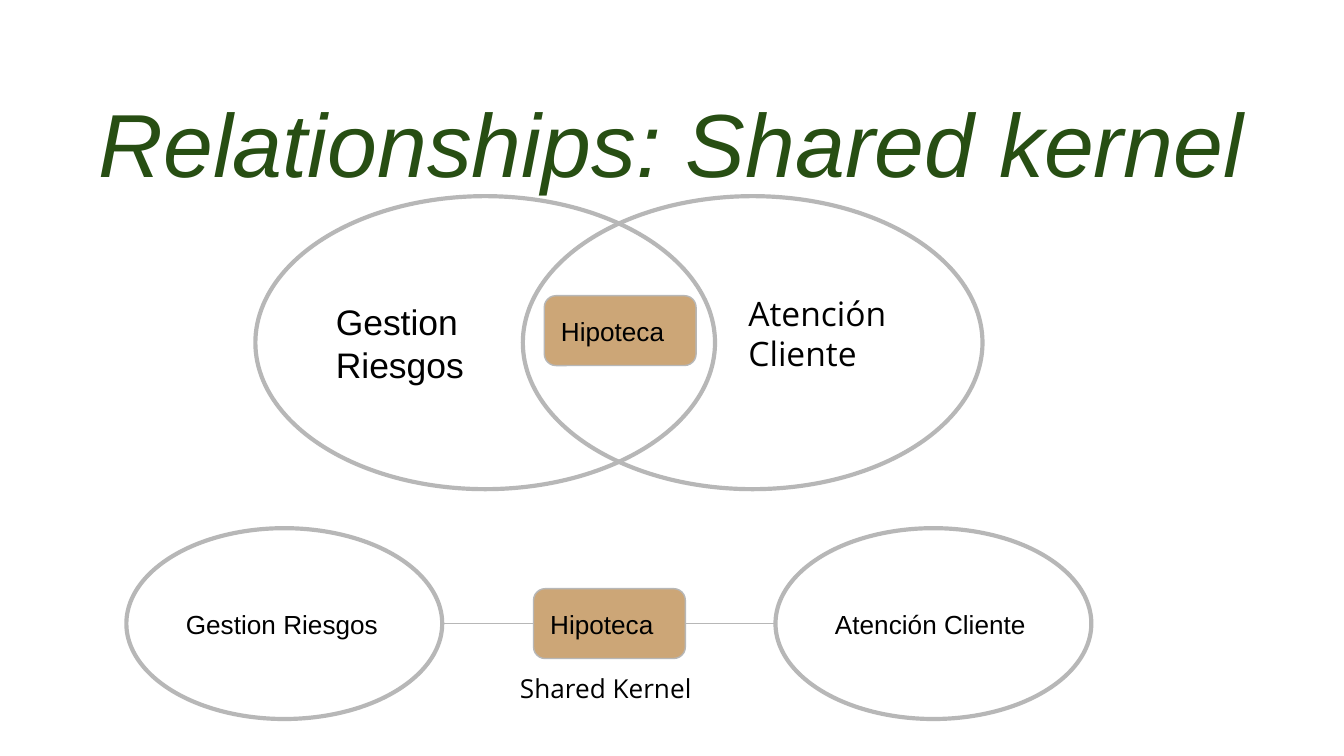
from dataclasses import dataclass

from pptx import Presentation
from pptx import util as u
from pptx.dml.color import RGBColor
from pptx.enum import shapes, text
from pptx.oxml.ns import qn
from lxml import etree

GREY, TAN, GREEN, BLACK = "B7B7B7", "CCA677", "274E13", "000000"
CIRCLE = shapes.MSO_SHAPE.OVAL
BOX = shapes.MSO_SHAPE.ROUNDED_RECTANGLE
MIDDLE, TOP = text.MSO_ANCHOR.MIDDLE, text.MSO_ANCHOR.TOP


@dataclass
class Label:
    lines: tuple[str, ...]
    size: float = 14
    font: str = "Arial"
    color: str = BLACK
    italic: bool = False
    align: text.PP_ALIGN = text.PP_ALIGN.LEFT
    spacing: float = 1.0
    anchor: text.MSO_ANCHOR = MIDDLE


@dataclass
class Area:
    left: float
    top: float
    width: float
    height: float

    def lengths(self) -> list[u.Length]:
        return [u.Inches(v) for v in (self.left, self.top, self.width, self.height)]


def rgb(color: str) -> RGBColor:
    return RGBColor.from_string(color)


def write(shape, label: Label) -> None:
    frame = shape.text_frame
    margins = {f"margin_{side}": u.Inches(0.1) for side in ("left", "right", "top", "bottom")}
    layout = {"word_wrap": True, "auto_size": text.MSO_AUTO_SIZE.NONE,
              "vertical_anchor": label.anchor, **margins}
    for name, value in layout.items():
        setattr(frame, name, value)
    for index, line in enumerate(label.lines):
        paragraph = frame.paragraphs[0] if index == 0 else frame.add_paragraph()
        paragraph.alignment = label.align
        paragraph.line_spacing = label.spacing
        run = paragraph.add_run()
        run.text = line
        look = {"size": u.Pt(label.size), "name": label.font, "italic": label.italic}
        for name, value in look.items():
            setattr(run.font, name, value)
        run.font.color.rgb = rgb(label.color)


def draw_shape(slide, kind: shapes.MSO_SHAPE, area: Area, label: Label | None = None):
    """Contexts are open circles; shared parts are filled boxes."""
    shape = slide.shapes.add_shape(kind, *area.lengths())
    shape.shadow.inherit = False
    shape.line.color.rgb = rgb(GREY)
    if kind == BOX:
        shape.fill.solid()
        shape.fill.fore_color.rgb = rgb(TAN)
        shape.line.width = u.Pt(0.75)
    else:
        shape.fill.background()
        shape.line.width = u.Pt(2.25)
    if label:
        write(shape, label)
    return shape


def draw_note(slide, area: Area, label: Label) -> None:
    write(slide.shapes.add_textbox(*area.lengths()), label)


def draw_link(slide, start: float, end: float, y: float):
    link = slide.shapes.add_connector(
        shapes.MSO_CONNECTOR.STRAIGHT, u.Inches(start), u.Inches(y), u.Inches(end), u.Inches(y))
    link.line.color.rgb = rgb(GREY)
    link.line.width = u.Pt(0.75)
    etree.SubElement(link._element.spPr, qn("a:effectLst"))
    return link


def main() -> None:
    # Widescreen page, 16:9
    deck = Presentation()
    deck.slide_width = u.Inches(10)
    deck.slide_height = u.Inches(10 * 9 / 16)
    slide = deck.slides.add_slide(deck.slide_layouts[5])

    # Title
    title = slide.shapes.title
    title.left, title.top, title.width, title.height = Area(0.59, 0.3, 8.81, 1.16).lengths()
    write(title, Label(("Relationships: Shared kernel",), 48, color=GREEN, italic=True,
                       align=text.PP_ALIGN.CENTER, spacing=1.44))

    mortgage = Label(("Hipoteca",))

    # Overlapping contexts
    draw_shape(slide, CIRCLE, Area(3.89, 1.46, 3.42, 2.18))
    draw_shape(slide, CIRCLE, Area(1.9, 1.46, 3.42, 2.18), Label(("Gestion", "Riesgos"), 19))
    draw_shape(slide, BOX, Area(4.05, 2.2, 1.13, 0.52), mortgage)
    draw_note(slide, Area(5.47, 2.08, 1.37, 0.94),
              Label(("Atención", "Cliente"), 18, "Open Sans", anchor=TOP))

    # Separate contexts linked through the shared kernel
    risk, client = (Area(left, 3.93, 2.35, 1.42) for left in (0.94, 5.77))
    draw_shape(slide, CIRCLE, risk, Label(("Gestion Riesgos",)))
    draw_shape(slide, CIRCLE, client, Label(("Atención Cliente",)))
    kernel_area = Area(3.97, 4.38, 1.13, 0.52)
    kernel = draw_shape(slide, BOX, kernel_area, mortgage)

    axis = kernel_area.top + kernel_area.height / 2
    risk_link = draw_link(slide, risk.left + risk.width, kernel_area.left, axis)
    risk_link.end_connect(kernel, 1)
    client_link = draw_link(slide, kernel_area.left + kernel_area.width, client.left, axis)
    client_link.begin_connect(kernel, 3)

    draw_note(slide, Area(3.77, 4.9, 1.52, 0.37),
              Label(("Shared Kernel",), font="Open Sans", anchor=TOP))

    deck.save("out.pptx")


if __name__ == "__main__":
    main()
